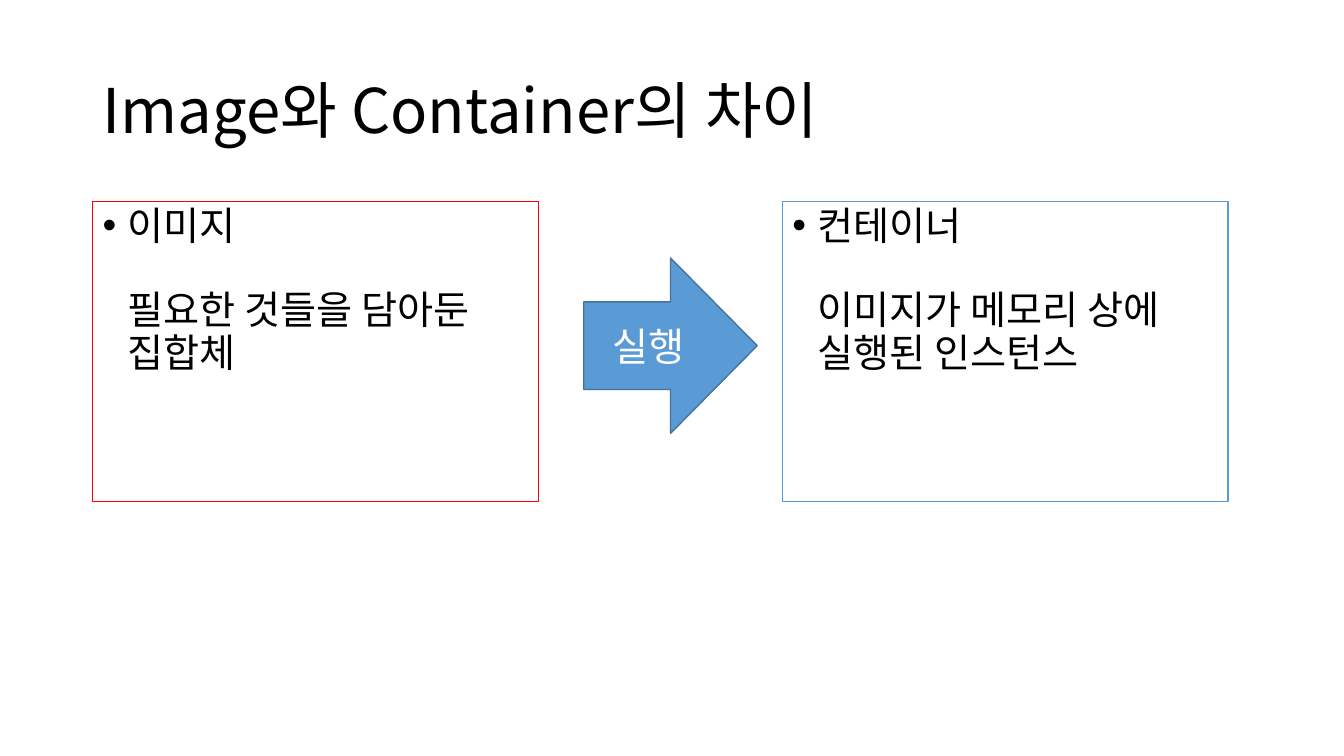
from dataclasses import dataclass

from lxml.etree import SubElement
from pptx import Presentation
from pptx.dml.color import RGBColor
from pptx.enum.shapes import MSO_SHAPE
from pptx.enum.text import MSO_ANCHOR, MSO_AUTO_SIZE, PP_ALIGN
from pptx.oxml.ns import qn
from pptx.util import Inches, Pt


@dataclass(frozen=True)
class Theme:
    font: str = "Noto Sans CJK KR"
    black: RGBColor = RGBColor(0, 0, 0)
    white: RGBColor = RGBColor(255, 255, 255)
    red: RGBColor = RGBColor(255, 0, 0)
    blue: RGBColor = RGBColor(0x5B, 0x9B, 0xD5)
    dark_blue: RGBColor = RGBColor(0x43, 0x73, 0x9E)
    title_size: Pt = Pt(44)
    body_size: Pt = Pt(28)


theme = Theme()


def add_text(paragraph, text, size, color):
    run = paragraph.add_run()
    run.text = text
    run.font.size = size
    run.font.name = theme.font
    run.font.color.rgb = color
    SubElement(run.font._element, qn("a:ea"), typeface=theme.font)


def indent(paragraph, first_line, bullet):
    properties = paragraph._p.get_or_add_pPr()
    properties.set("marL", str(Inches(0.25)))
    properties.set("indent", str(first_line))
    if bullet:
        SubElement(properties, qn("a:buFont"), typeface="Arial")
        SubElement(properties, qn("a:buChar"), char=bullet)
    else:
        SubElement(properties, qn("a:buNone"))


prs = Presentation()
prs.slide_width = Inches(13.33)
prs.slide_height = Inches(7.5)
slide = prs.slides.add_slide(prs.slide_layouts[5])

title = slide.shapes.title
title.left, title.top = Inches(0.92), Inches(0.4)
title.width, title.height = Inches(11.5), Inches(1.45)
title.text_frame.auto_size = MSO_AUTO_SIZE.NONE
title.text_frame.vertical_anchor = MSO_ANCHOR.MIDDLE
heading = title.text_frame.paragraphs[0]
heading.alignment = PP_ALIGN.LEFT
heading.line_spacing = 0.9
add_text(heading, "Image와 Container의 차이", theme.title_size, theme.black)

concepts = [
    (0.92, theme.red, "이미지", ["필요한 것들을 담아둔", "집합체"]),
    (7.76, theme.blue, "컨테이너", ["이미지가 메모리 상에 실행된 인스턴스"]),
]
for left, border, term, meaning in concepts:
    concept = slide.shapes.add_shape(
        MSO_SHAPE.RECTANGLE, Inches(left), Inches(2), Inches(4.42), Inches(2.98))
    concept.shadow.inherit = False
    concept.fill.background()
    concept.line.color.rgb = border
    concept.line.width = Pt(0.75)
    frame = concept.text_frame
    frame.word_wrap = True
    frame.vertical_anchor = MSO_ANCHOR.TOP

    name = frame.paragraphs[0]
    name.space_before = Pt(10)
    indent(name, Inches(-0.25), "•")
    add_text(name, term, theme.body_size, theme.black)

    definition = frame.add_paragraph()
    definition.space_before = Pt(30)
    indent(definition, 0, None)
    for number, line in enumerate(meaning):
        if number:
            definition.add_line_break()
        add_text(definition, line, theme.body_size, theme.black)

    for paragraph in frame.paragraphs:
        paragraph.alignment = PP_ALIGN.LEFT
        paragraph.line_spacing = 0.9

execution = slide.shapes.add_shape(
    MSO_SHAPE.RIGHT_ARROW, Inches(5.79), Inches(2.56), Inches(1.72), Inches(1.74))
execution.shadow.inherit = False
execution.fill.solid()
execution.fill.fore_color.rgb = theme.blue
execution.line.color.rgb = theme.dark_blue
execution.line.width = Pt(1)
execution.text_frame.word_wrap = True
execution.text_frame.vertical_anchor = MSO_ANCHOR.MIDDLE
action = execution.text_frame.paragraphs[0]
action.alignment = PP_ALIGN.CENTER
add_text(action, "실행", theme.body_size, theme.white)

prs.save("out.pptx")
